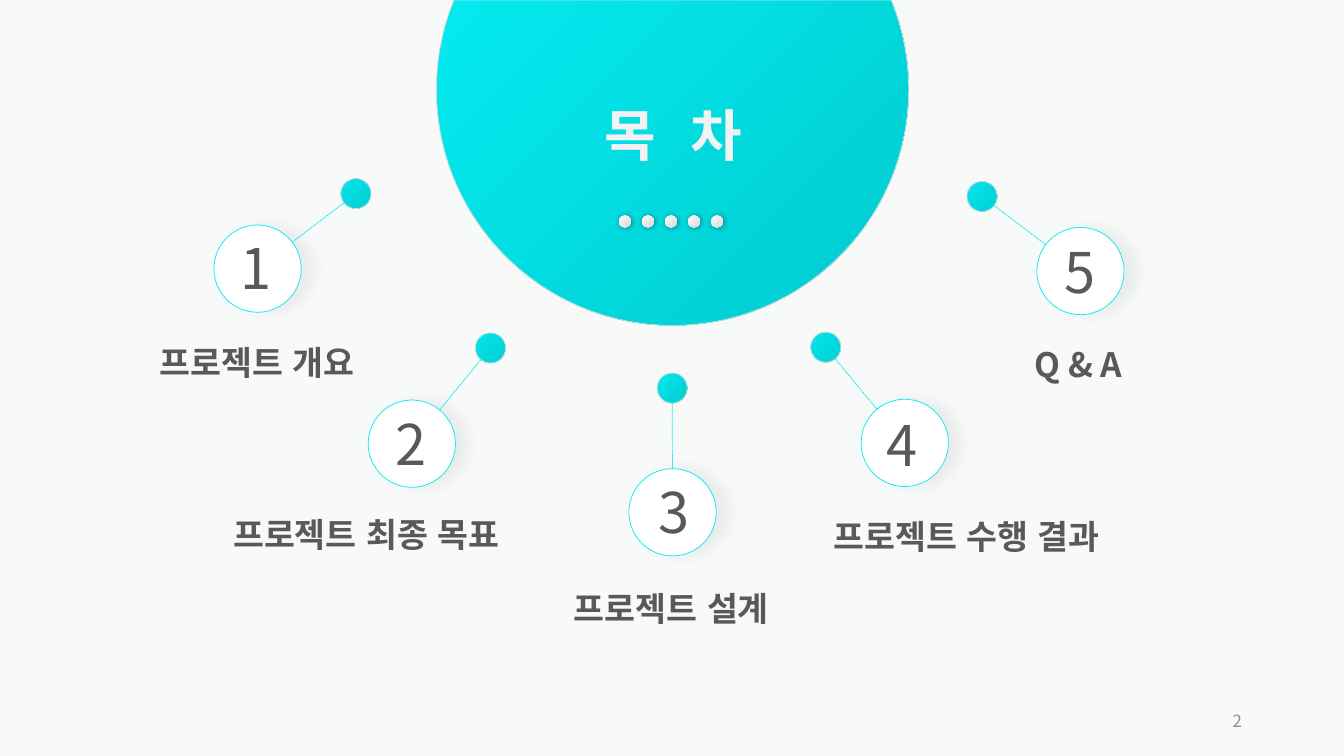
from dataclasses import dataclass
from math import asin, atan2, cos, degrees, hypot, pi, sin, tan

from lxml.etree import SubElement
from pptx import Presentation
from pptx.dml.color import RGBColor
from pptx.enum.dml import MSO_LINE_DASH_STYLE as Dash
from pptx.enum.lang import MSO_LANGUAGE_ID as Language
from pptx.enum.shapes import MSO_CONNECTOR as Connector, MSO_SHAPE as Shape
from pptx.enum.text import MSO_ANCHOR as Anchor, PP_ALIGN as Align
from pptx.oxml import parse_xml
from pptx.oxml.ns import nsdecls, qn
from pptx.util import Cm, Pt


@dataclass(frozen=True)
class Theme:
    font: str = "Noto Sans CJK KR"
    background: str = "F8FAF9"
    cyan: str = "02EAEF"
    cyan_glow: tuple = ("02CBD0", "02EAEF")
    pearl_glow: tuple = ("D7D7D7", "FFFFFF")
    white: str = "FFFFFF"
    rim: str = "D9D9D9"
    heading: str = "F2F2F2"
    text: str = "595959"
    page: str = "8C8C8C"
    heading_size: int = 40
    number_size: int = 40
    label_size: int = 24
    page_size: int = 12
    hairline: float = 0.5


theme = Theme()


def paint(shape, fill, line=None, shadow=None):
    """Fill is a colour or a pair for a corner glow; shadow is opacity %, blur, distance, angle."""
    shape.shadow.inherit = False
    if isinstance(fill, str):
        shape.fill.solid()
        shape.fill.fore_color.rgb = RGBColor.from_string(fill)
    else:
        shape.fill.gradient()
        gradient = shape._element.spPr.find(qn("a:gradFill"))
        inner, outer = fill
        gradient.getparent().replace(gradient, parse_xml(
            f'<a:gradFill {nsdecls("a")} rotWithShape="1"><a:gsLst>'
            f'<a:gs pos="0"><a:srgbClr val="{inner}"/></a:gs>'
            f'<a:gs pos="100000"><a:srgbClr val="{outer}"/></a:gs></a:gsLst>'
            '<a:path path="circle"><a:fillToRect l="100000" t="100000"/></a:path>'
            '<a:tileRect r="-100000" b="-100000"/></a:gradFill>'))
    if line:
        shape.line.color.rgb = RGBColor.from_string(line)
        shape.line.width = Pt(theme.hairline)
    else:
        shape.line.fill.background()
    if shadow:
        opacity, blur, distance, angle = shadow
        shape._element.spPr.find(qn("a:effectLst")).append(parse_xml(
            f'<a:outerShdw {nsdecls("a")} blurRad="{Pt(blur)}" dist="{Pt(distance)}" '
            f'dir="{angle * 60000}" algn="ctr" rotWithShape="0"><a:srgbClr val="000000">'
            f'<a:alpha val="{opacity * 1000}"/></a:srgbClr></a:outerShdw>'))


def write(words, box, size, color, bold=False, anchor=Anchor.TOP, **paragraph_format):
    frame = slide.shapes.add_textbox(*map(Cm, box)).text_frame
    frame.word_wrap = True
    frame.vertical_anchor = anchor
    paragraph = frame.paragraphs[0]
    for name, value in paragraph_format.items():
        setattr(paragraph, name, value)
    run = paragraph.add_run()
    run.text = words
    run_format = {"name": theme.font, "size": Pt(size), "bold": bold,
                  "language_id": Language.KOREAN}
    for name, value in run_format.items():
        setattr(run.font, name, value)
    run.font.color.rgb = RGBColor.from_string(color)
    SubElement(run.font._element, qn("a:ea"), typeface=theme.font)
    return run


deck = Presentation()
deck.slide_width, deck.slide_height = Cm(33.87), Cm(19.05)
slide = deck.slides.add_slide(deck.slide_layouts[6])
slide.background.fill.solid()
slide.background.fill.fore_color.rgb = RGBColor.from_string(theme.background)

# Contents: words, circle centre, dot centre, number corner, label centre x, top and width
topics = [
    ("프로젝트 개요", (6.49, 6.77), (8.97, 4.88), (5.82, 5.77), (6.48, 7.98, 6.15)),
    ("프로젝트 최종 목표", (10.38, 11.18), (12.36, 8.77), (9.73, 10.2), (9.23, 12.32, 8.26)),
    ("프로젝트 설계", (16.95, 12.91), (16.94, 9.78), (16.34, 11.91), (16.92, 14.17, 6.15)),
    ("프로젝트 수행 결과", (22.8, 11.16), (20.81, 8.75), (22.08, 10.22), (24.36, 12.37, 8.48)),
    ("Q & A", (27.23, 6.83), (24.75, 4.95), (26.57, 5.87), (27.18, 8.04, 6.15)),
]
circle_radius, dot_radius = 1.1, 0.38
label_format = {"alignment": Align.CENTER, "line_spacing": 1.5}

for number, (words, circle, dot, corner, label) in enumerate(topics, 1):
    dx, dy = circle[0] - dot[0], circle[1] - dot[1]
    reach = hypot(dx, dy)

    # Numbered circle and its dot, both turned along the link
    for (x, y), radius, look in (
        (circle, circle_radius, (theme.white, theme.cyan, (5, 11, 9, 0))),
        (dot, dot_radius, (theme.cyan_glow, theme.rim)),
    ):
        disc = slide.shapes.add_shape(
            Shape.OVAL, Cm(x - radius), Cm(y - radius), Cm(2 * radius), Cm(2 * radius))
        disc.rotation = round(degrees(atan2(-dx, dy)), 1)
        paint(disc, *look)

    # Dashed link from the rim of the dot to the rim of the circle
    start, end = dot_radius / reach, 1 - circle_radius / reach
    link = slide.shapes.add_connector(
        Connector.STRAIGHT,
        Cm(dot[0] + dx * start), Cm(dot[1] + dy * start),
        Cm(dot[0] + dx * end), Cm(dot[1] + dy * end))
    link.line.color.rgb = RGBColor.from_string(theme.cyan)
    link.line.width = Pt(theme.hairline)
    link.line.dash_style = Dash.SQUARE_DOT
    SubElement(link._element.spPr, qn("a:effectLst"))

    # Number and label
    write(str(number), (*corner, 1.07, 1.96), theme.number_size, theme.text)
    center, top, width = label
    write(words, (center - width / 2, top, width, 1.6),
          theme.label_size, theme.text, bold=True, **label_format)

# Large disc cut off by the top edge: four arcs, each with two handles and an end
disc_x, disc_y, disc_radius = 16.95, 2.25, 5.95
cut = asin(-disc_y / disc_radius)
stops = [cut, 0, pi / 2, pi, pi - cut]
rim = [(cos(cut), sin(cut))]
for a, b in zip(stops, stops[1:]):
    pull = 4 / 3 * tan((b - a) / 4)
    rim += [(cos(a) - pull * sin(a), sin(a) + pull * cos(a)),
            (cos(b) + pull * sin(b), sin(b) - pull * cos(b)),
            (cos(b), sin(b))]
rim = [(Cm(disc_x + disc_radius * x), Cm(disc_y + disc_radius * y)) for x, y in rim]
outline = slide.shapes.build_freeform(*rim[0])
outline.add_line_segments(rim[1:], close=True)
big_disc = outline.convert_to_shape()
sides = list(big_disc._element.iter(qn("a:lnTo")))
for first in range(0, len(sides), 3):
    arc = parse_xml(f'<a:cubicBezTo {nsdecls("a")}/>')
    sides[first].addprevious(arc)
    for side in sides[first:first + 3]:
        arc.append(side[0])
        side.getparent().remove(side)
paint(big_disc, theme.cyan_glow, theme.rim)

# Heading with wide letter spacing
heading = write("목 차", (10.9, 1.55, 12.14, 2.49),
                theme.heading_size, theme.heading, bold=True, **label_format)
heading.font._element.set("spc", "700")

# Row of pearls under the heading
for place in range(5):
    pearl = slide.shapes.add_shape(
        Shape.ROUNDED_RECTANGLE, Cm(15.6 + 0.58 * place), Cm(5.43), Cm(0.3), Cm(0.3))
    pearl.adjustments[0] = 0.5
    paint(pearl, theme.pearl_glow, shadow=(40, 4, 1, 45))

# Page number
write("2", (23.93, 17.65, 7.62, 1.02), theme.page_size, theme.page,
      anchor=Anchor.MIDDLE, alignment=Align.RIGHT)

deck.save("out.pptx")
